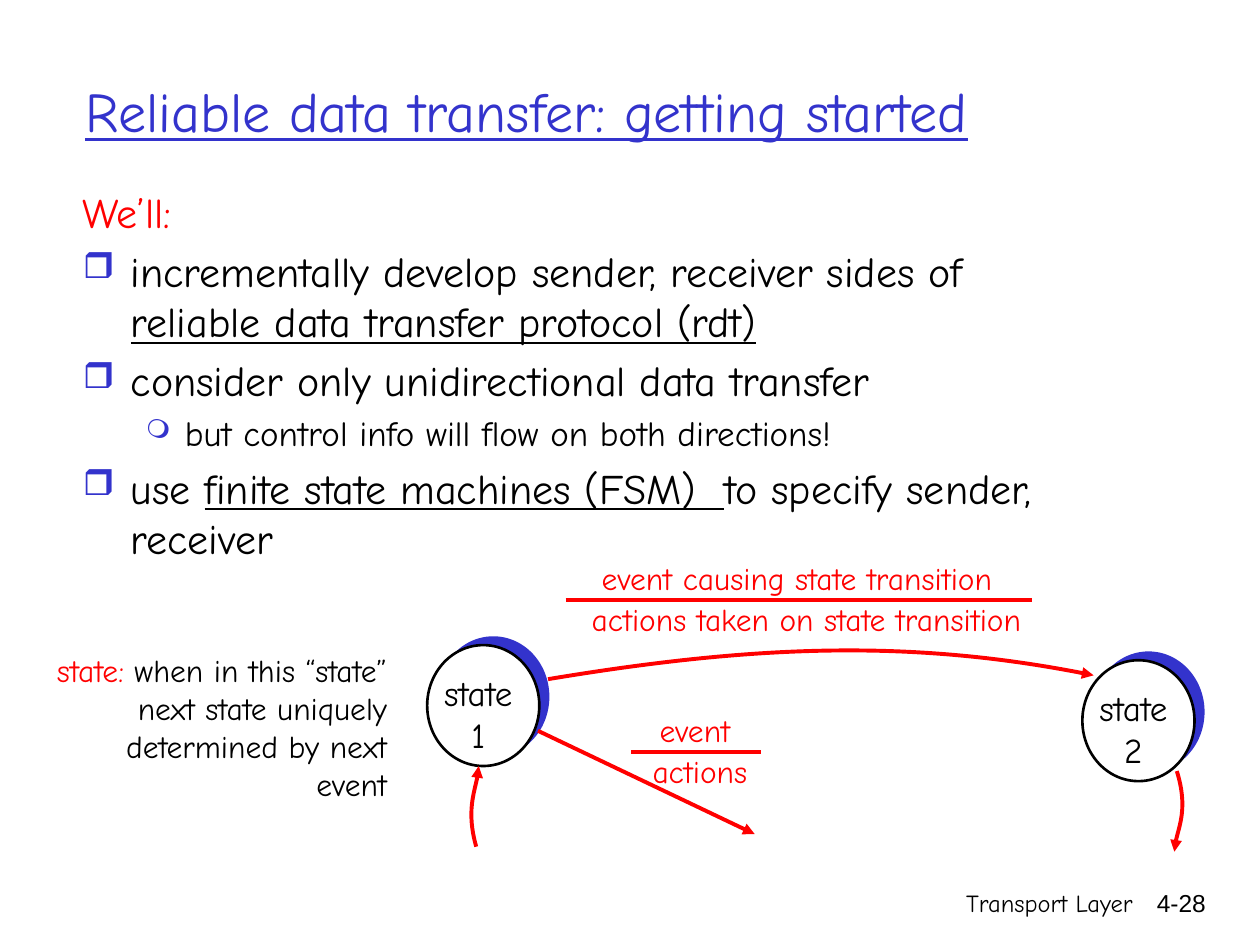
from dataclasses import dataclass

from lxml import etree
from pptx import Presentation
from pptx.dml.color import RGBColor
from pptx.enum.shapes import MSO_CONNECTOR, MSO_SHAPE
from pptx.enum.text import MSO_ANCHOR, MSO_AUTO_SIZE, PP_ALIGN
from pptx.oxml.ns import qn
from pptx.util import Inches, Pt

LEFT, CENTER, RIGHT = PP_ALIGN.LEFT, PP_ALIGN.CENTER, PP_ALIGN.RIGHT
MIDDLE, TOP = MSO_ANCHOR.MIDDLE, MSO_ANCHOR.TOP
GROW, FIXED = MSO_AUTO_SIZE.SHAPE_TO_FIT_TEXT, MSO_AUTO_SIZE.NONE
OVAL, STRAIGHT = MSO_SHAPE.OVAL, MSO_CONNECTOR.STRAIGHT


@dataclass(frozen=True)
class Theme:
    font: str = "Comic Neue"
    number_font: str = "Arial"
    blue: str = "3333CC"
    red: str = "FF0000"
    black: str = "000000"
    white: str = "FFFFFF"
    title: int = 32
    body: int = 24
    sub: int = 20
    label: int = 18
    footer: int = 14
    outline: float = 1.5
    stroke: float = 2.25


T = Theme()

TITLE = "Reliable data transfer: getting started"
LEVELS = {
    "lead": dict(size=T.body, indent=0.38, hang=0.38),
    "item": dict(size=T.body, indent=0.38, hang=0.38, bullet=("❒", 85)),
    "sub": dict(size=T.sub, indent=0.81, hang=0.31, bullet=("❍", 75)),
}
BODY = [
    ("lead", [("We’ll:", T.red, False)]),
    ("item", [("incrementally develop sender, receiver sides of ", T.black, False),
              ("reliable data transfer protocol (rdt)", T.black, True)]),
    ("item", [("consider only unidirectional data transfer", T.black, False)]),
    ("sub", [("but control info will flow on both directions!", T.black, False)]),
    ("item", [("use ", T.black, False),
              ("finite state machines (FSM)  ", T.black, True),
              ("to specify sender, receiver", T.black, False)]),
]
NOTE = [("state:", T.red, False),
        (" when in this “state” next state uniquely determined by next event",
         T.black, False)]
STATES = [("1", 3.35, 5.05), ("2", 8.55, 5.17)]
TRANSITIONS = [
    (("event causing state transition", 4.49, 4.39, 3.67),
     ("actions taken on state transition", 4.4, 4.71, 4),
     (4.49, 8.19, 4.76)),
    (("event", 5.09, 5.59, 0.85), ("actions", 5.04, 5.92, 1.03), (5.01, 6.04, 5.97)),
]
CURVES = [
    [(4.35, 5.39), (5.97, 5.12), (7.26, 5.07), (8.68, 5.36)],
    [(3.78, 6.72), (3.7, 6.44), (3.8, 6.18), (3.8, 6.08)],
    [(9.34, 6.12), (9.43, 6.41), (9.32, 6.66), (9.32, 6.76)],
]
EXIT_ARROW = (4.27, 5.8, 5.99, 6.62)
FOOTER = [("Transport Layer", T.font, (5.92, 7, 3.17, 0.5)),
          ("4-28", T.number_font, (8.93, 7, 0.74, 0.5))]


def rgb(value):
    return RGBColor.from_string(value)


def add_paragraph(p, runs, size, font=T.font, align=LEFT, indent=0, hang=0, bullet=None):
    pPr = p._p.get_or_add_pPr()
    pPr.set("marL", str(Inches(indent)))
    pPr.set("indent", str(-Inches(hang)))
    if bullet:
        char, percent = bullet
        color = etree.SubElement(pPr, qn("a:buClr"))
        etree.SubElement(color, qn("a:srgbClr"), val=T.blue)
        etree.SubElement(pPr, qn("a:buSzPct"), val=str(percent * 1000))
        etree.SubElement(pPr, qn("a:buChar"), char=char)
    p.alignment = align
    for text, color, underline in runs:
        r = p.add_run()
        r.text = text
        r.font.name = font
        r.font.size = Pt(size)
        r.font.underline = underline
        r.font.color.rgb = rgb(color)


def add_text(shapes, box, paragraphs, wrap=True, anchor=TOP):
    tf = shapes.add_textbox(*map(Inches, box)).text_frame
    tf.word_wrap = wrap
    tf.auto_size = FIXED if wrap else GROW
    tf.vertical_anchor = anchor
    for i, paragraph in enumerate(paragraphs):
        p = tf.add_paragraph() if i else tf.paragraphs[0]
        add_paragraph(p, **paragraph)
    return tf


def style_line(sp, color, width, arrow=False):
    sp.line.color.rgb = rgb(color)
    sp.line.width = Pt(width)
    if arrow:
        etree.SubElement(sp.line._get_or_add_ln(), qn("a:tailEnd"), type="triangle")


def add_line(shapes, x1, y1, x2, y2, arrow=False):
    sp = shapes.add_connector(STRAIGHT, *map(Inches, (x1, y1, x2, y2)))
    style_line(sp, T.red, T.stroke, arrow)
    etree.SubElement(sp._element.spPr, qn("a:effectLst"))


def add_curve(shapes, points):
    start, *rest = [(Inches(x), Inches(y)) for x, y in points]
    builder = shapes.build_freeform(*start)
    builder.add_line_segments(rest, close=False)
    sp = builder.convert_to_shape()
    segments = list(sp._element.iter(qn("a:lnTo")))
    curve = etree.SubElement(segments[0].getparent(), qn("a:cubicBezTo"))
    for segment in segments:
        curve.append(segment[0])
        segment.getparent().remove(segment)
    sp.fill.background()
    sp.shadow.inherit = False
    style_line(sp, T.red, T.stroke, arrow=True)


def add_oval(shapes, x, y, fill):
    sp = shapes.add_shape(OVAL, *map(Inches, (x, y, 0.89, 0.96)))
    sp.shadow.inherit = False
    sp.fill.solid()
    sp.fill.fore_color.rgb = rgb(fill)
    sp.line.fill.background()
    return sp


def add_state(shapes, number, x, y):
    group = shapes.add_group_shape().shapes
    add_oval(group, x + 0.12, y, T.blue)
    style_line(add_oval(group, x + 0.04, y + 0.07, T.white), T.black, T.outline)
    lines = [dict(runs=[(text, T.black, False)], size=T.sub, align=CENTER)
             for text in ("state", number)]
    add_text(group, (x, y + 0.23, 0.89, 0.77), lines, wrap=False)


def add_transition(shapes, event, action, rule):
    for text, x, y, width in (event, action):
        label = dict(runs=[(text, T.red, False)], size=T.label, align=CENTER)
        add_text(shapes, (x, y, width, 0.4), [label], wrap=False)
    left, right, y = rule
    add_line(shapes, left, y, right, y)


def main():
    """Build the reliable data transfer slide."""
    prs = Presentation()
    prs.slide_width, prs.slide_height = Inches(10), Inches(7.5)
    s = prs.slides.add_slide(prs.slide_layouts[6])
    shapes = s.shapes

    for text, font, box in FOOTER:
        add_text(shapes, box, [dict(runs=[(text, T.black, False)], size=T.footer,
                                    font=font, align=RIGHT)])
    add_text(shapes, (0.58, 0.25, 8.5, 1.25),
             [dict(runs=[(TITLE, T.blue, True)], size=T.title)], anchor=MIDDLE)
    tf = add_text(shapes, (0.56, 1.43, 7.94, 3.67),
                  [dict(runs=runs, **LEVELS[level]) for level, runs in BODY])
    for p, (level, _) in list(zip(tf.paragraphs, BODY))[1:]:
        p.space_before = Pt(LEVELS[level]["size"] * 0.2)
    add_text(shapes, (0.14, 5.12, 3.03, 1.35),
             [dict(runs=NOTE, size=T.label, align=RIGHT, indent=0.38, hang=0.38)])

    for state in STATES:
        add_state(shapes, *state)
    for points in CURVES:
        add_curve(shapes, points)
    add_line(shapes, *EXIT_ARROW, arrow=True)
    for transition in TRANSITIONS:
        add_transition(shapes, *transition)
    prs.save("out.pptx")


if __name__ == "__main__":
    main()
